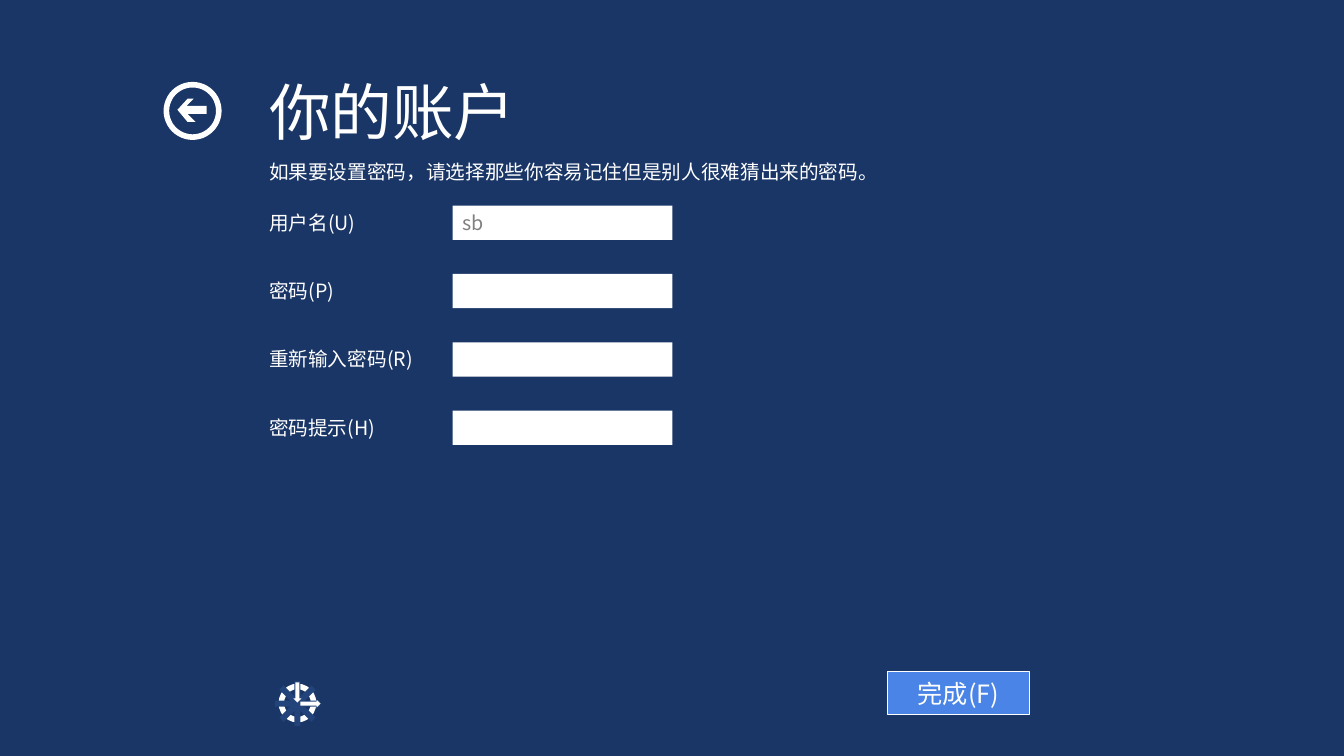
from pptx import Presentation
from pptx.dml.color import RGBColor
from pptx.enum.shapes import MSO_SHAPE as SHAPE
from pptx.enum.text import MSO_ANCHOR as ANCHOR, MSO_AUTO_SIZE as AUTO_SIZE, PP_ALIGN as ALIGN
from pptx.oxml.ns import qn
from pptx.util import Inches, Pt
from lxml import etree

FONT = "Noto Sans CJK SC"
NAVY = RGBColor(0x1A, 0x36, 0x66)
DIAL_GAP = RGBColor(0x23, 0x44, 0x7B)
BUTTON_BLUE = RGBColor(0x49, 0x84, 0xE6)
WHITE = RGBColor(0xFF, 0xFF, 0xFF)
GRAY = RGBColor(0x80, 0x80, 0x80)

FIELDS = [("用户名(U)", "sb"), ("密码(P)", ""), ("重新输入密码(R)", ""), ("密码提示(H)", "")]


def write_text(shape, text, size=14, color=WHITE, align=ALIGN.LEFT, anchor=ANCHOR.MIDDLE):
    frame = shape.text_frame
    frame.word_wrap = True
    frame.vertical_anchor = anchor
    paragraph = frame.paragraphs[0]
    paragraph.alignment = align
    run = paragraph.add_run()
    run.text = text
    run.font.name = FONT
    run.font.size = Pt(size)
    run.font.color.rgb = color
    east_asian = etree.SubElement(run.font._element, qn("a:ea"))
    east_asian.set("typeface", FONT)


def add_label(slide, box, text, size=14):
    label = slide.shapes.add_textbox(*map(Inches, box))
    write_text(label, text, size=size, anchor=ANCHOR.TOP)
    label.text_frame.auto_size = AUTO_SIZE.SHAPE_TO_FIT_TEXT


def style(shape, fill=None, line=None, line_width=1):
    shape.shadow.inherit = False
    if fill is None:
        shape.fill.background()
    else:
        shape.fill.solid()
        shape.fill.fore_color.rgb = fill
    if line is None:
        shape.line.fill.background()
    else:
        shape.line.color.rgb = line
        shape.line.width = Pt(line_width)


def add_part(slide, kind, box, **look):
    part = slide.shapes.add_shape(kind, *map(Inches, box))
    style(part, **look)
    return part


def add_heading(slide, left, top):
    add_label(slide, (left, top, 4.58, 0.84), "你的账户", size=44)
    add_label(slide, (left, top + 0.86, 9.62, 0.34),
              "如果要设置密码，请选择那些你容易记住但是别人很难猜出来的密码。")


def add_dial(slide, left, top):
    center_x, center_y = left + 0.21, top + 0.21
    add_part(slide, SHAPE.OVAL, (left + 0.05, top + 0.04, 0.32, 0.33),
             line=WHITE, line_width=3.91)
    # Bars that cut the ring into segments
    length, thickness = 0.45, 0.06
    for angle in range(0, 180, 45):
        bar = add_part(slide, SHAPE.RECTANGLE,
                       (center_x - length / 2, center_y - thickness / 2, length, thickness),
                       fill=DIAL_GAP)
        bar.rotation = angle
    # Clock hands
    add_part(slide, SHAPE.DOWN_ARROW, (center_x - 0.04, top, 0.08, 0.2), fill=WHITE)
    add_part(slide, SHAPE.RIGHT_ARROW, (center_x + 0.03, center_y - 0.04, 0.2, 0.08), fill=WHITE)


def add_back_button(slide, left, top):
    add_part(slide, SHAPE.OVAL, (left, top, 0.52, 0.52), line=WHITE, line_width=4)
    outline = [(0.21, 0.14), (0.27, 0.14), (0.2, 0.21), (0.4, 0.21), (0.4, 0.29),
               (0.21, 0.29), (0.29, 0.37), (0.21, 0.37), (0.11, 0.25)]
    points = [(Inches(left + x), Inches(top + y)) for x, y in outline]
    builder = slide.shapes.build_freeform(*points[0])
    builder.add_line_segments(points[1:], close=True)
    style(builder.convert_to_shape(), fill=WHITE)


def add_form(slide, left, top, row_pitch=0.678):
    for row, (caption, value) in enumerate(FIELDS):
        row_top = top + row * row_pitch
        add_label(slide, (left, row_top, 4.58, 0.34), caption)
        entry = add_part(slide, SHAPE.RECTANGLE, (left + 1.92, row_top, 2.18, 0.34), fill=WHITE)
        if value:
            write_text(entry, value, color=GRAY)


def add_finish_button(slide, left, top):
    button = add_part(slide, SHAPE.RECTANGLE, (left, top, 1.41, 0.43),
                      fill=BUTTON_BLUE, line=WHITE)
    write_text(button, "完成(F)", size=18, align=ALIGN.CENTER)


def main():
    deck = Presentation()
    deck.slide_width, deck.slide_height = Inches(13.33), Inches(7.5)
    slide = deck.slides.add_slide(deck.slide_layouts[6])
    add_part(slide, SHAPE.RECTANGLE, (0, 0, 13.33, 7.5), fill=NAVY)
    add_heading(slide, 2.57, 0.68)
    add_dial(slide, 2.74, 6.77)
    add_back_button(slide, 1.65, 0.84)
    add_form(slide, 2.57, 2.04)
    add_finish_button(slide, 8.8, 6.66)
    deck.save("out.pptx")


if __name__ == "__main__":
    main()
